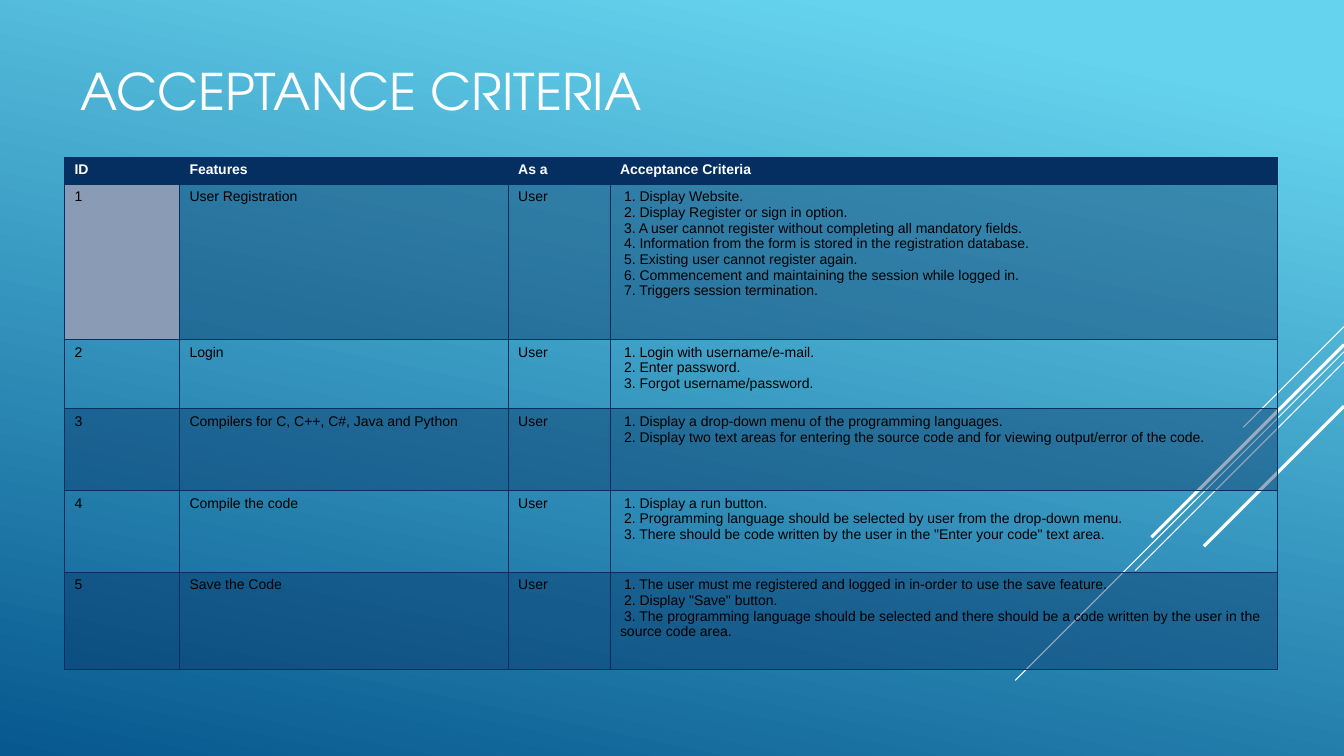
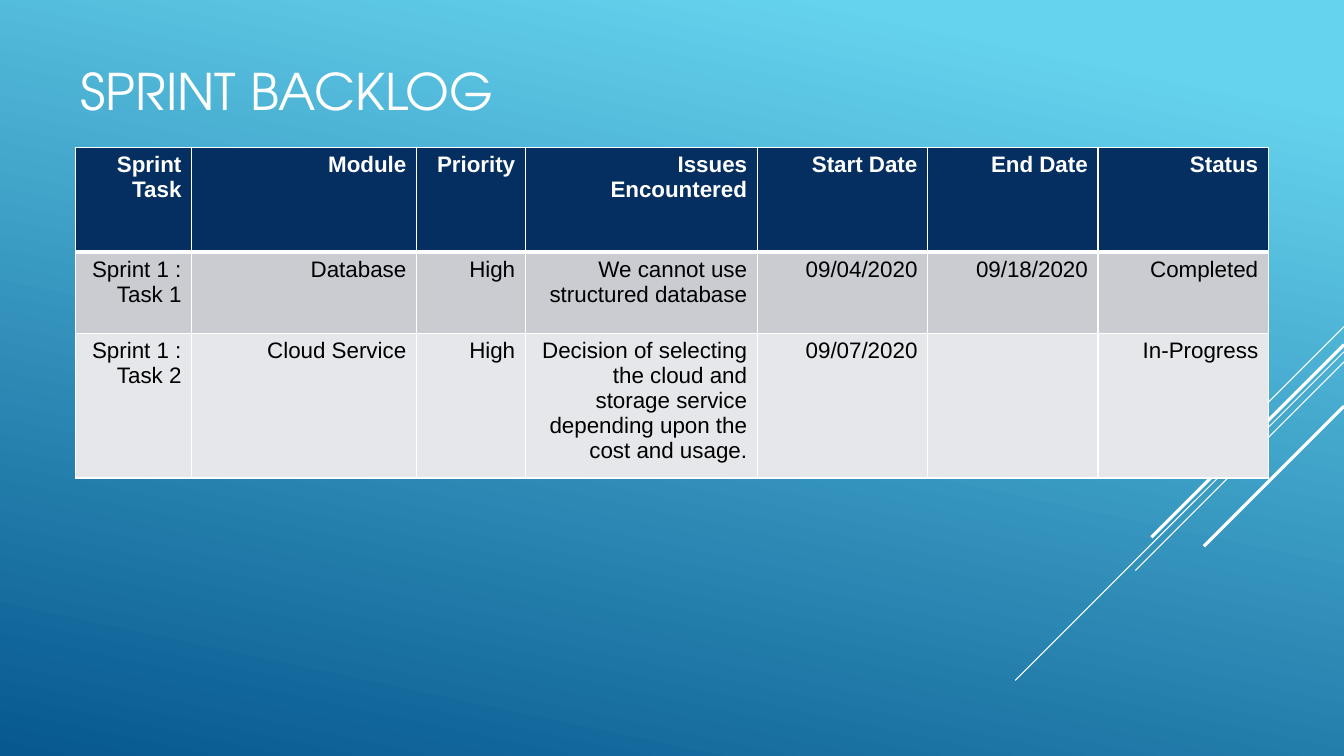
from copy import deepcopy
from dataclasses import dataclass

from lxml import etree
from pptx import Presentation
from pptx.dml.color import RGBColor
from pptx.enum.shapes import MSO_CONNECTOR
from pptx.enum.text import MSO_ANCHOR, PP_ALIGN
from pptx.oxml.ns import qn
from pptx.util import Inches, Pt

STRAIGHT = MSO_CONNECTOR.STRAIGHT
BOTTOM = MSO_ANCHOR.BOTTOM
LEFT, RIGHT = PP_ALIGN.LEFT, PP_ALIGN.RIGHT


@dataclass(frozen=True)
class Theme:
    white: str = "FFFFFF"
    black: str = "000000"
    navy: str = "052F61"
    sky: str = "66D3EE"
    ocean: str = "06588E"
    steel: str = "8A9CB5"
    grey: str = "CACCD1"
    pale: str = "E6E7EA"
    title_font: str = "TeX Gyre Adventor"
    body_font: str = "Arial"
    title_size: int = 36
    small_size: int = 10
    table_size: int = 16


THEME = Theme()
WIDTH, HEIGHT = 13.33, 7.5

# Content: a list in a cell is a set of numbered steps
CRITERIA = [
    ("ID", "Features", "As a", "Acceptance Criteria"),
    ("1", "User Registration", "User", [
        "Display Website.",
        "Display Register or sign in option.",
        "A user cannot register without completing all mandatory fields.",
        "Information from the form is stored in the registration database.",
        "Existing user cannot register again.",
        "Commencement and maintaining the session while logged in.",
        "Triggers session termination.",
    ]),
    ("2", "Login", "User", [
        "Login with username/e-mail.",
        "Enter password.",
        "Forgot username/password.",
    ]),
    ("3", "Compilers for C, C++, C#, Java and Python", "User", [
        "Display a drop-down menu of the programming languages.",
        "Display two text areas for entering the source code and for "
        "viewing output/error of the code.",
    ]),
    ("4", "Compile the code", "User", [
        "Display a run button.",
        "Programming language should be selected by user from the drop-down menu.",
        'There should be code written by the user in the "Enter your code" text area.',
    ]),
    ("5", "Save the Code", "User", [
        "The user must me registered and logged in in-order to use the save feature.",
        'Display "Save" button.',
        "The programming language should be selected and there should be a code "
        "written by the user in the source code area.",
    ]),
]

BACKLOG = [
    ("Sprint Task", "Module", "Priority", "Issues Encountered",
     "Start Date", "End Date", "Status"),
    ("Sprint 1 : Task 1", "Database", "High", "We cannot use structured database",
     "09/04/2020", "09/18/2020", "Completed"),
    ("Sprint 1 : Task 2", "Cloud Service", "High",
     "Decision of selecting the cloud and storage service depending upon "
     "the cost and usage.", "09/07/2020", "", "In-Progress"),
]

# Fills are (colour, opacity in percent) or None; body rows alternate between two
PAGES = [
    dict(title="ACCEPTANCE CRITERIA", rows=CRITERIA, at=(0.64, 1.56),
         widths=(1.14, 3.26, 1.01, 6.62),
         heights=(0.26, 1.54, 0.69, 0.81, 0.81, 0.97),
         bands=((THEME.navy, 40), None), special={(1, 0): (THEME.steel, 100)},
         border=(THEME.navy, 0.75), header_rule=0.75,
         size=THEME.small_size, align=LEFT),
    dict(title="SPRINT BACKLOG", rows=BACKLOG, at=(0.75, 1.46),
         widths=(1.15, 2.23, 1.08, 2.3, 1.69, 1.69, 1.69),
         heights=(1.04, 0.81, 1.33),
         bands=((THEME.grey, 100), (THEME.pale, 100)), special={},
         border=(THEME.white, 1), header_rule=3,
         size=THEME.table_size, align=RIGHT),
]

# Diagonal rays from the right edge: start height, length along each axis, weight
RAYS = [(3.24, 1, 0.75), (3.49, 3.26, 0.75), (3.59, 2.07, 0.75),
        (3.42, 1.91, 2.25), (4.03, 1.39, 2.25)]


def rgb(color):
    return RGBColor.from_string(color)


def add_span(para, text, size, font, color, bold=False):
    span = para.add_run()
    span.text = text
    span.font.size = Pt(size)
    span.font.name = font
    span.font.bold = bold
    span.font.color.rgb = rgb(color)


# Shared background
def paint_background(master):
    fill = master.background.fill
    fill.gradient()
    first = master.element.find(".//" + qn("a:gs"))
    first.addnext(deepcopy(first))
    stops = ((0, THEME.sky), (0.1, THEME.sky), (1, THEME.ocean))
    for stop, (position, color) in zip(fill.gradient_stops, stops):
        stop.position = position
        stop.color.rgb = rgb(color)
    fill.gradient_angle = 360 - 102


# Shared rays and title
def add_page(deck, title):
    page = deck.slides.add_slide(deck.slide_layouts[6])
    for top, reach, weight in RAYS:
        ray = page.shapes.add_connector(
            STRAIGHT, Inches(WIDTH), Inches(top),
            Inches(WIDTH - reach), Inches(top + reach))
        ray.line.color.rgb = rgb(THEME.white)
        ray.line.width = Pt(weight)
        etree.SubElement(ray.element.spPr, qn("a:effectLst"))
    box = page.shapes.add_textbox(Inches(0.75), Inches(0.25), Inches(9.33), Inches(1))
    frame = box.text_frame
    frame.word_wrap = True
    frame.vertical_anchor = BOTTOM
    frame.margin_left = frame.margin_right = Inches(0.05)
    frame.margin_top = frame.margin_bottom = Inches(0.05)
    add_span(frame.paragraphs[0], title, THEME.title_size, THEME.title_font, THEME.white)
    return page


# Table parts
def set_border(cell, side, color, weight):
    props = cell._tc.get_or_add_tcPr()
    line = etree.SubElement(props, qn(f"a:ln{side}"), w=str(Pt(weight)))
    solid = etree.SubElement(line, qn("a:solidFill"))
    etree.SubElement(solid, qn("a:srgbClr"), val=color)


def set_fill(cell, fill):
    if fill is None:
        cell.fill.background()
        return
    color, opacity = fill
    cell.fill.solid()
    cell.fill.fore_color.rgb = rgb(color)
    if opacity < 100:
        tint = cell._tc.tcPr.find(qn("a:solidFill") + "/" + qn("a:srgbClr"))
        etree.SubElement(tint, qn("a:alpha"), val=str(opacity * 1000))


def write_cell(cell, content, size, align, header):
    frame = cell.text_frame
    steps = isinstance(content, list)
    lines = [f"{n}. {step}" for n, step in enumerate(content, 1)] if steps else [content]
    for index, text in enumerate(lines):
        para = frame.add_paragraph() if index else frame.paragraphs[0]
        para.alignment = align
        if steps:
            para._p.get_or_add_pPr().set("indent", str(Inches(0.04)))
        if text:
            add_span(para, text, size, THEME.body_font,
                     THEME.white if header else THEME.black, header)


def add_grid(page, rows, at, widths, heights, bands, special, border,
             header_rule, size, align):
    lengths = (*at, sum(widths), sum(heights))
    table = page.shapes.add_table(len(rows), len(widths), *map(Inches, lengths)).table
    table.horz_banding = False
    for column, width in zip(table.columns, widths):
        column.width = Inches(width)
    for r, (row, height) in enumerate(zip(rows, heights)):
        table.rows[r].height = Inches(height)
        row_fill = bands[(r - 1) % 2] if r else (THEME.navy, 100)
        color, weight = border
        top = header_rule if r == 1 else weight
        bottom = header_rule if r == 0 else weight
        for c, content in enumerate(row):
            cell = table.cell(r, c)
            for side, thick in zip("LRTB", (weight, weight, top, bottom)):
                set_border(cell, side, color, thick)
            set_fill(cell, special.get((r, c), row_fill))
            write_cell(cell, content, size, align, header=r == 0)


def main():
    deck = Presentation()
    deck.slide_width, deck.slide_height = Inches(WIDTH), Inches(HEIGHT)
    paint_background(deck.slide_master)
    for content in PAGES:
        grid = dict(content)
        page = add_page(deck, grid.pop("title"))
        add_grid(page, **grid)
    deck.save("out.pptx")


if __name__ == "__main__":
    main()
